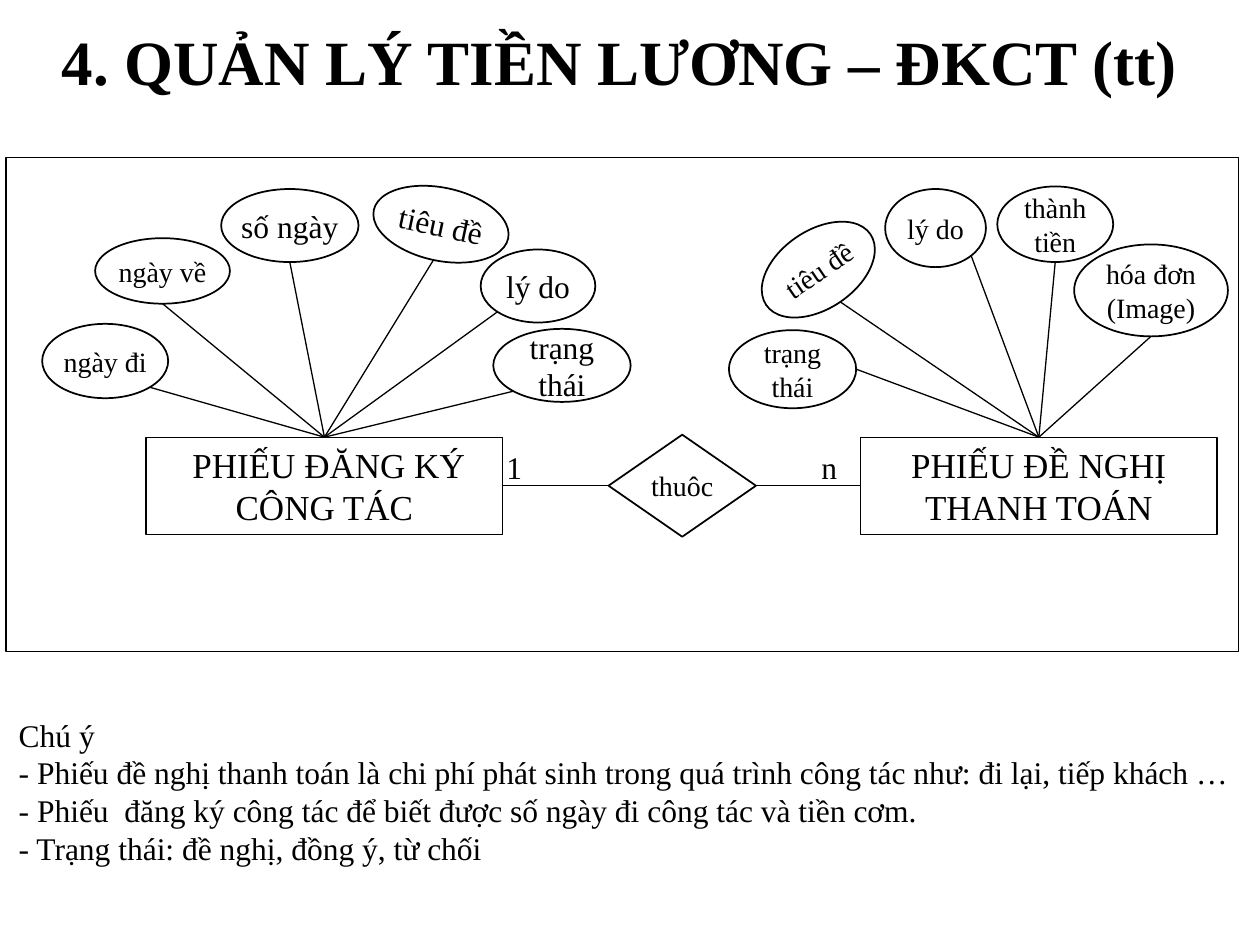
from math import cos, radians, sin

from lxml import etree
from pptx import Presentation
from pptx.dml.color import RGBColor
from pptx.enum.shapes import MSO_CONNECTOR, MSO_SHAPE
from pptx.enum.text import MSO_ANCHOR, PP_ALIGN
from pptx.oxml.ns import qn
from pptx.util import Inches, Pt

ELLIPSE, RECTANGLE, DIAMOND = MSO_SHAPE.OVAL, MSO_SHAPE.RECTANGLE, MSO_SHAPE.DIAMOND
STRAIGHT = MSO_CONNECTOR.STRAIGHT
TOP, MIDDLE = MSO_ANCHOR.TOP, MSO_ANCHOR.MIDDLE
LEFT, CENTER = PP_ALIGN.LEFT, PP_ALIGN.CENTER
FONT, BLACK = "Times New Roman", "000000"

PANEL = (0.05, 1.25, 9.78, 3.92)
ENTITY_WIDTH, ENTITY_HEIGHT = 2.83, 0.77
ENTITY_TOP = 2.22  # below the panel's top edge

# Angles on an ellipse, clockwise from its right side
RIGHT_SIDE, LOWER_RIGHT, BOTTOM, LOWER_LEFT = 0, 45, 90, 135

# Left and top from the hub, width, height, rotation, line angle, size, text
REGISTRATION = [
    (-2.24, -0.9, 1, 0.59, 0, LOWER_RIGHT, 16, "ngày đi"),
    (-1.82, -1.58, 1.07, 0.52, 0, BOTTOM, 16, "ngày về"),
    (-0.82, -1.97, 1.09, 0.58, 0, BOTTOM, 18, "số ngày"),
    (0.38, -1.98, 1.09, 0.58, 11.9, BOTTOM, 18, "tiêu đề"),
    (1.24, -1.49, 0.91, 0.58, 0, LOWER_LEFT, 18, "lý do"),
    (1.34, -0.86, 1.09, 0.58, 0, LOWER_LEFT, 18, "trạng thái"),
]
PAYMENT = [
    (-2.46, -0.85, 1.01, 0.62, 0, RIGHT_SIDE, 16, "trạng thái"),
    (-2.25, -1.64, 1, 0.62, -34.2, BOTTOM, 16, "tiêu đề"),
    (-1.22, -1.97, 0.8, 0.62, 0, LOWER_RIGHT, 16, "lý do"),
    (-0.33, -1.99, 0.92, 0.6, 0, BOTTOM, 16, "thành tiền"),
    (0.28, -1.53, 1.22, 0.73, 0, BOTTOM, 16, "hóa đơn\n(Image)"),
]
NOTES = [
    "Chú ý",
    "- Phiếu đề nghị thanh toán là chi phí phát sinh trong quá trình công tác như: đi lại, tiếp khách …",
    "- Phiếu  đăng ký công tác để biết được số ngày đi công tác và tiền cơm.",
    "- Trạng thái: đề nghị, đồng ý, từ chối",
]


def color(value):
    return RGBColor.from_string(value)


def write(shape, lines, size, align=LEFT, anchor=TOP, bold=False, margins=None):
    frame = shape.text_frame
    frame.word_wrap = True
    frame.vertical_anchor = anchor
    for name, value in (margins or {}).items():
        setattr(frame, "margin_" + name, Inches(value))
    for index, line in enumerate(lines):
        paragraph = frame.paragraphs[0] if index == 0 else frame.add_paragraph()
        paragraph.alignment = align
        run = paragraph.add_run()
        run.text = line
        for name, value in {"name": FONT, "size": Pt(size), "bold": bold}.items():
            setattr(run.font, name, value)
        run.font.color.rgb = color(BLACK)


def add_text(slide, box, lines, size, **style):
    write(slide.shapes.add_textbox(*map(Inches, box)), lines, size, **style)


def add_outline(slide, kind, box, weight=1):
    shape = slide.shapes.add_shape(kind, *map(Inches, box))
    shape.shadow.inherit = False
    shape.fill.background()
    shape.line.color.rgb = color(BLACK)
    shape.line.width = Pt(weight)
    return shape


def add_node(slide, kind, box, text, size):
    shape = add_outline(slide, kind, box)
    margins = dict.fromkeys(("left", "top", "right", "bottom"), 0)
    write(shape, text.split("\n"), size, CENTER, MIDDLE, margins=margins)
    return shape


def add_line(slide, start, end):
    line = slide.shapes.add_connector(STRAIGHT, *map(Inches, (*start, *end)))
    line.line.color.rgb = color(BLACK)
    line.line.width = Pt(0.75)
    etree.SubElement(line._element.spPr, qn("a:effectLst"))


def rim_point(box, rotation, angle):
    left, top, width, height = box
    x, y = width / 2 * cos(radians(angle)), height / 2 * sin(radians(angle))
    turn = radians(rotation)
    return (left + width / 2 + x * cos(turn) - y * sin(turn),
            top + height / 2 + x * sin(turn) + y * cos(turn))


def add_entity(slide, box, name, attributes):
    left, top, width, _ = box
    hub = (left + width / 2, top)
    shape = add_outline(slide, RECTANGLE, box, 0.75)
    write(shape, [name], 20, CENTER, margins={"left": 0, "right": 0})
    for dx, dy, node_width, node_height, rotation, angle, size, text in attributes:
        node_box = (hub[0] + dx, hub[1] + dy, node_width, node_height)
        node = add_node(slide, ELLIPSE, node_box, text, size)
        node.rotation = rotation
        add_line(slide, rim_point(node_box, rotation, angle), hub)


def add_relation(slide, box, left_end, right_end):
    left, top, width, height = box
    middle = top + height / 2
    add_node(slide, DIAMOND, box, "thuôc", 16)
    add_line(slide, (left_end, middle), (left, middle))
    add_line(slide, (left + width, middle), (right_end, middle))
    for label, label_left in (("1", left_end - 0.07), ("n", right_end - 0.41)):
        add_text(slide, (label_left, top + 0.06, 0.38, 0.4), [label], 18)


def add_diagram(slide, box):
    left, top, _, _ = box
    add_outline(slide, RECTANGLE, box)
    entity_top = top + ENTITY_TOP
    first, second = left + 1.11, left + 6.78
    for entity_left, name, attributes in (
        (first, " PHIẾU ĐĂNG KÝ CÔNG TÁC", REGISTRATION),
        (second, "PHIẾU ĐỀ NGHỊ THANH TOÁN", PAYMENT),
    ):
        entity_box = (entity_left, entity_top, ENTITY_WIDTH, ENTITY_HEIGHT)
        add_entity(slide, entity_box, name, attributes)
    relation_box = (left + 4.78, entity_top - 0.02, 1.17, 0.81)
    add_relation(slide, relation_box, first + ENTITY_WIDTH, second)


presentation = Presentation()
presentation.slide_width, presentation.slide_height = Inches(10), Inches(7.5)
slide = presentation.slides.add_slide(presentation.slide_layouts[6])

# Title
add_text(slide, (0, 0, 9.83, 0.95), ["4. QUẢN LÝ TIỀN LƯƠNG – ĐKCT (tt)"], 36,
         align=CENTER, anchor=MIDDLE, bold=True)
# Entity diagram
add_diagram(slide, PANEL)
# Notes
add_text(slide, (0.05, 5.63, 9.95, 1.62), NOTES, 18)

presentation.save("out.pptx")
